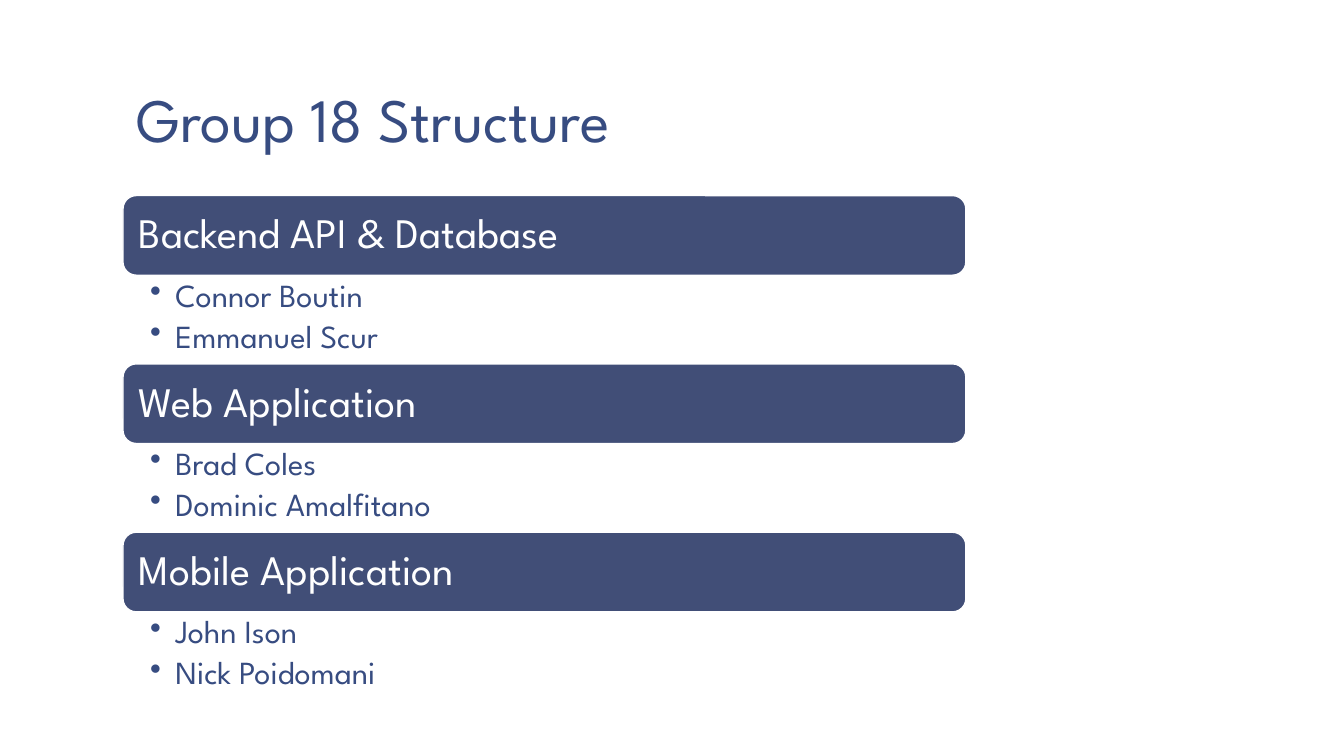
from lxml.etree import SubElement
from pptx import Presentation
from pptx.dml.color import RGBColor
from pptx.enum.shapes import MSO_SHAPE
from pptx.enum.text import MSO_ANCHOR, PP_ALIGN
from pptx.oxml.ns import qn
from pptx.util import Inches, Pt

NAVY = RGBColor(0x37, 0x4C, 0x81)
BAR = RGBColor(0x41, 0x4E, 0x77)
WHITE = RGBColor(0xFF, 0xFF, 0xFF)
FONT = "League Spartan"

LEFT, WIDTH = 1.22, 8.36
TOP, BAR_H, LIST_H = 1.94, 0.79, 0.88

TEAMS = [
    ("Backend API & Database", ["Connor Boutin", "Emmanuel Scur"]),
    ("Web Application", ["Brad Coles", "Dominic Amalfitano"]),
    ("Mobile Application", ["John Ison", "Nick Poidomani"]),
]


def set_text(sp, lines, size, color, insets, anchor, spacing=0.9, after=0):
    """Fill a shape with styled paragraphs, space after in percent."""
    tf = sp.text_frame
    tf.word_wrap = True
    tf.vertical_anchor = anchor
    tf.margin_left, tf.margin_top, tf.margin_right, tf.margin_bottom = map(Inches, insets)
    tf.text = "\n".join(lines)
    for p in tf.paragraphs:
        p.alignment = PP_ALIGN.LEFT
        p.line_spacing = spacing
        if after:
            spc = SubElement(p._p.get_or_add_pPr(), qn("a:spcAft"))
            SubElement(spc, qn("a:spcPct"), val=str(after * 1000))
        for r in p.runs:
            r.font.name = FONT
            r.font.size = Pt(size)
            r.font.color.rgb = color


def add_bullets(tf):
    """Give every paragraph a hanging round bullet."""
    for p in tf.paragraphs:
        p.level = 1
        pPr = p._p.get_or_add_pPr()
        pPr.set("marL", str(Inches(0.25)))
        pPr.set("indent", str(-Inches(0.25)))
        SubElement(pPr, qn("a:buChar"), char="•")


def add_title(s, text):
    """Add the slide title."""
    sp = s.shapes.add_textbox(Inches(LEFT), Inches(0.08), Inches(11.11), Inches(1.53))
    set_text(sp, [text], 44, NAVY, (0.13, 0.07, 0.13, 0.07), MSO_ANCHOR.BOTTOM, spacing=0.85)


def add_bar(s, top, text):
    """Add a rounded heading bar."""
    sp = s.shapes.add_shape(MSO_SHAPE.ROUNDED_RECTANGLE, Inches(LEFT), Inches(top),
                            Inches(WIDTH), Inches(BAR_H))
    sp.shadow.inherit = False
    sp.fill.solid()
    sp.fill.fore_color.rgb = BAR
    sp.line.color.rgb = WHITE
    sp.line.width = Pt(1)
    set_text(sp, [text], 30, WHITE, (0.12,) * 4, MSO_ANCHOR.MIDDLE, after=35)


def add_members(s, top, names):
    """Add the bulleted member list under a bar."""
    sp = s.shapes.add_textbox(Inches(LEFT), Inches(top), Inches(WIDTH), Inches(LIST_H))
    set_text(sp, names, 23, NAVY, (0.27, 0.04, 0.23, 0.04), MSO_ANCHOR.TOP, after=20)
    add_bullets(sp.text_frame)


def main():
    """Build and save the slide."""
    prs = Presentation()
    prs.slide_width, prs.slide_height = Inches(13.33), Inches(7.5)
    s = prs.slides.add_slide(prs.slide_layouts[6])
    add_title(s, "Group 18 Structure")
    for row, (team, names) in enumerate(TEAMS):
        top = TOP + row * (BAR_H + LIST_H)
        add_bar(s, top, team)
        add_members(s, top + BAR_H, names)
    prs.save("out.pptx")


if __name__ == "__main__":
    main()
